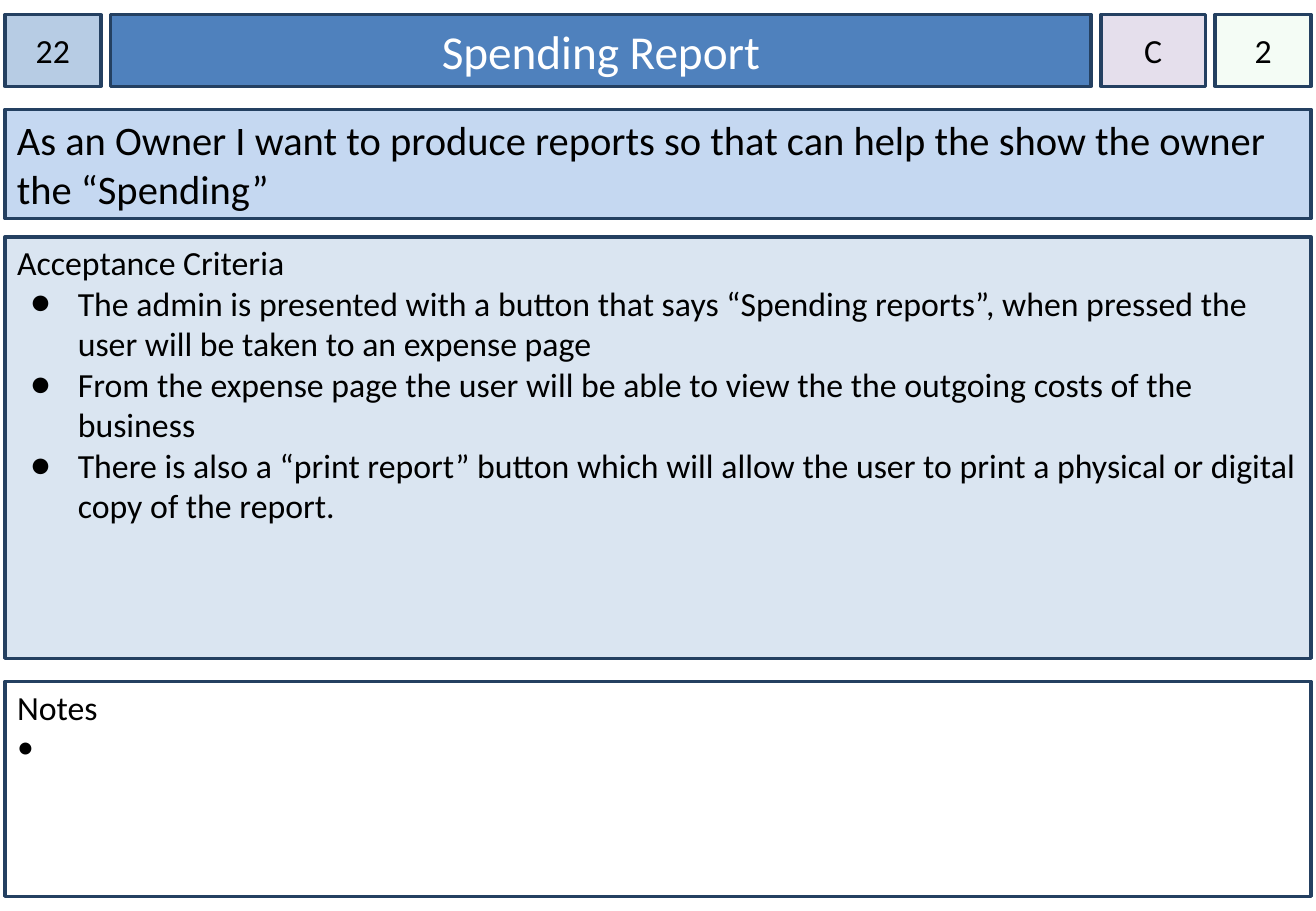
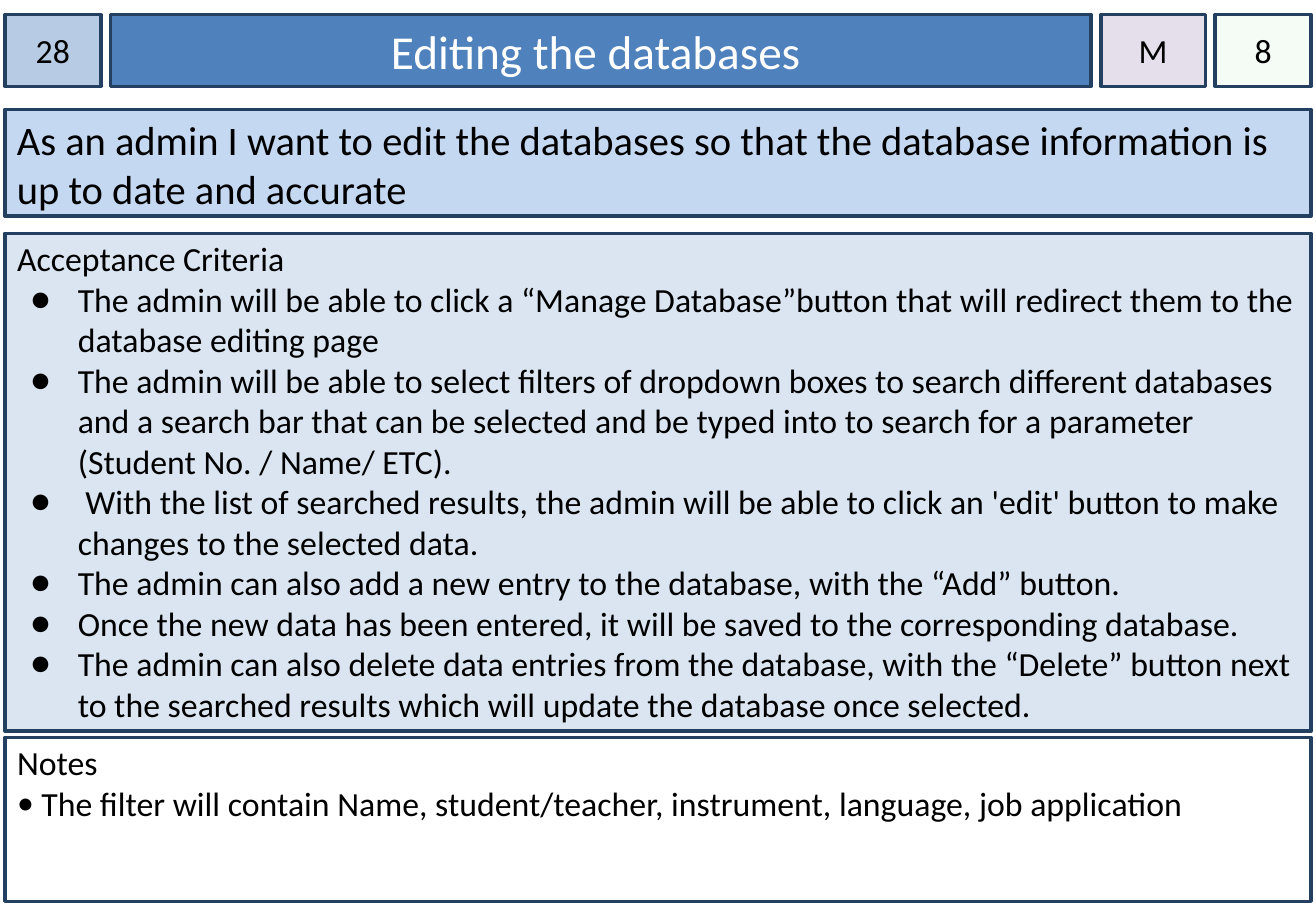
"""Build two user story cards."""
from lxml.etree import SubElement as Sub
from pptx import Presentation
from pptx.dml.color import RGBColor as RGB
from pptx.enum.shapes import MSO_SHAPE as SHAPE
from pptx.enum.text import MSO_ANCHOR as ANCHOR, MSO_AUTO_SIZE as FIT, PP_ALIGN as ALIGN
from pptx.oxml.ns import qn
from pptx.util import Inches, Pt


class Theme:
    font = "Calibri"
    ink, white, edge = "000000", "FFFFFF", "244061"
    number, title, story = "B7CCE4", "4F81BD", "C5D8F1"
    tests, rank, points = "DAE5F1", "E5DFEC", "CCF0CD"
    clear = 20
    head, lead, text = 28, 24, 20
    rule = 2


LEFT, TOP, GAP, HIGH, WIDE = 0.04, 0.12, 0.08, 0.59, 10.75
STORY = 0.9
WIDTHS = [0.79, 8.07, 0.86, 0.79]

CARDS = [
    dict(
        top=["22", "Spending Report", "C", "2"],
        story="As an Owner I want to produce reports so that can help the show the owner the “Spending”",
        tests=[
            "The admin is presented with a button that says “Spending reports”, when pressed the user will be taken to an expense page",
            "From the expense page the user will be able to view the the outgoing costs of the business",
            "There is also a “print report” button which will allow the user to print a physical or digital copy of the report.",
        ],
        notes=[" "],
        rows=[(STORY, 0.9), (1.95, 3.47), (5.61, 1.77)],
    ),
    dict(
        top=["28", "Editing the databases ", "M", "8"],
        story="As an admin I want to edit the databases so that the database information is up to date and accurate",
        tests=[
            "The admin will be able to click a “Manage Database”button that will redirect them to the database editing page",
            "The admin will be able to select filters of dropdown boxes to search different databases and a search bar that can be selected and be typed into to search for a parameter (Student No. / Name/ ETC).",
            " With the list of searched results, the admin will be able to click an 'edit' button to make changes to the selected data.",
            "The admin can also add a new entry to the database, with the “Add” button.",
            "Once the new data has been entered, it will be saved to the corresponding database.",
            "The admin can also delete data entries from the database, with the “Delete” button next to the searched results which will update the database once selected.",
        ],
        notes=["The filter will contain Name, student/teacher, instrument, language, job application"],
        rows=[(STORY, 0.88), (1.92, 4.1), (6.07, 1.35)],
    ),
]


def style(box, area, fill, anchor=ANCHOR.TOP, side=0.1, top=0.05):
    box.left, box.top, box.width, box.height = [Inches(n) for n in area]
    box.shadow.inherit = False
    box.fill.solid()
    box.fill.fore_color.rgb = RGB.from_string(fill)
    box.line.color.rgb = RGB.from_string(Theme.edge)
    box.line.width = Pt(Theme.rule)
    frame = box.text_frame
    frame.word_wrap = True
    frame.auto_size = FIT.NONE
    frame.vertical_anchor = anchor
    frame.margin_left = frame.margin_right = Inches(side)
    frame.margin_top, frame.margin_bottom = Inches(top), Inches(0.05)
    return frame


def write(para, text, size=Theme.text, color=Theme.ink, align=ALIGN.LEFT, mark=None, left=0, hang=0):
    props = para._p.get_or_add_pPr()
    props.set("marL", str(Inches(left)))
    props.set("indent", str(Inches(-hang)))
    if mark:
        tint = Sub(props, qn("a:buClr"))
        Sub(tint, qn("a:srgbClr"), val=color)
        Sub(props, qn("a:buFont"), typeface=Theme.font)
        Sub(props, qn("a:buChar"), char=mark)
    else:
        Sub(props, qn("a:buNone"))
    para.alignment = align
    para.space_before = Pt(0)
    run = para.add_run()
    run.text = text
    run.font.name = Theme.font
    run.font.size = Pt(size)
    run.font.color.rgb = RGB.from_string(color)


deck = Presentation()
deck.slide_width, deck.slide_height = Inches(10.83), Inches(7.5)

for card in CARDS:
    slide = deck.slides.add_slide(deck.slide_layouts[3])
    shapes, holes = slide.shapes, slide.placeholders

    x = LEFT
    fills = [Theme.number, Theme.title, Theme.rank, Theme.points]
    for text, width, fill in zip(card["top"], WIDTHS, fills):
        area = (x, TOP, width, HIGH)
        if fill == Theme.title:
            frame = style(shapes.title, area, fill, ANCHOR.MIDDLE)
            write(frame.paragraphs[0], text, Theme.head, Theme.white, ALIGN.CENTER)
        else:
            badge = shapes.add_shape(SHAPE.RECTANGLE, 0, 0, 0, 0)
            frame = style(badge, area, fill, ANCHOR.MIDDLE, side=0)
            write(frame.paragraphs[0], text, align=ALIGN.CENTER)
        x += width + GAP
    tint = badge._element.spPr.find(qn("a:solidFill"))[0]
    Sub(tint, qn("a:alpha"), val=str(Theme.clear * 1000))

    areas = [(LEFT, y, WIDE, high) for y, high in card["rows"]]
    story = shapes.add_shape(SHAPE.RECTANGLE, 0, 0, 0, 0)
    frame = style(story, areas[0], Theme.story)
    write(frame.paragraphs[0], card["story"], Theme.lead)

    lists = [
        (holes[1], areas[1], Theme.tests, "Acceptance Criteria", card["tests"], "●", 0.5, 0.39),
        (holes[2], areas[2], Theme.white, "Notes", card["notes"], "•", 0.2, 0.2),
    ]
    for box, area, fill, head, items, mark, left, hang in lists:
        frame = style(box, area, fill, top=0.04)
        write(frame.paragraphs[0], head)
        for item in items:
            write(frame.add_paragraph(), item, mark=mark, left=left, hang=hang)

deck.save("out.pptx")
